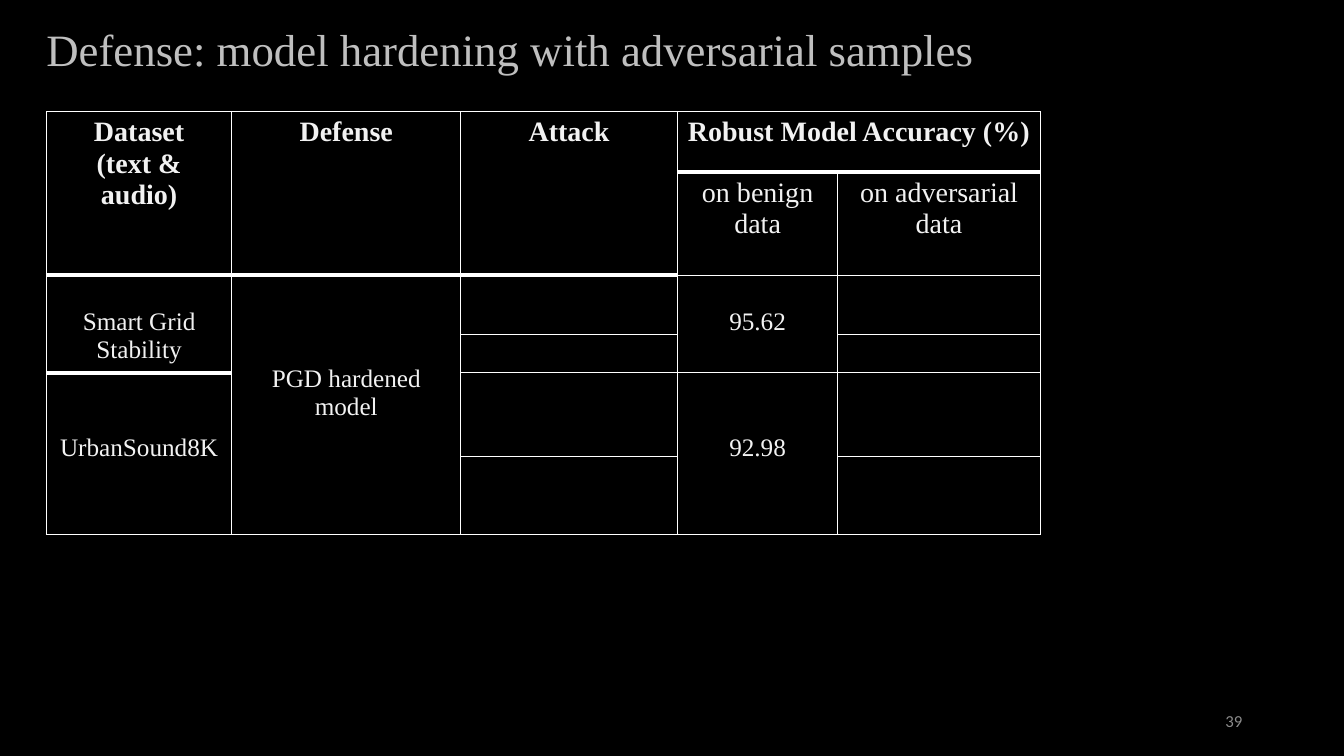
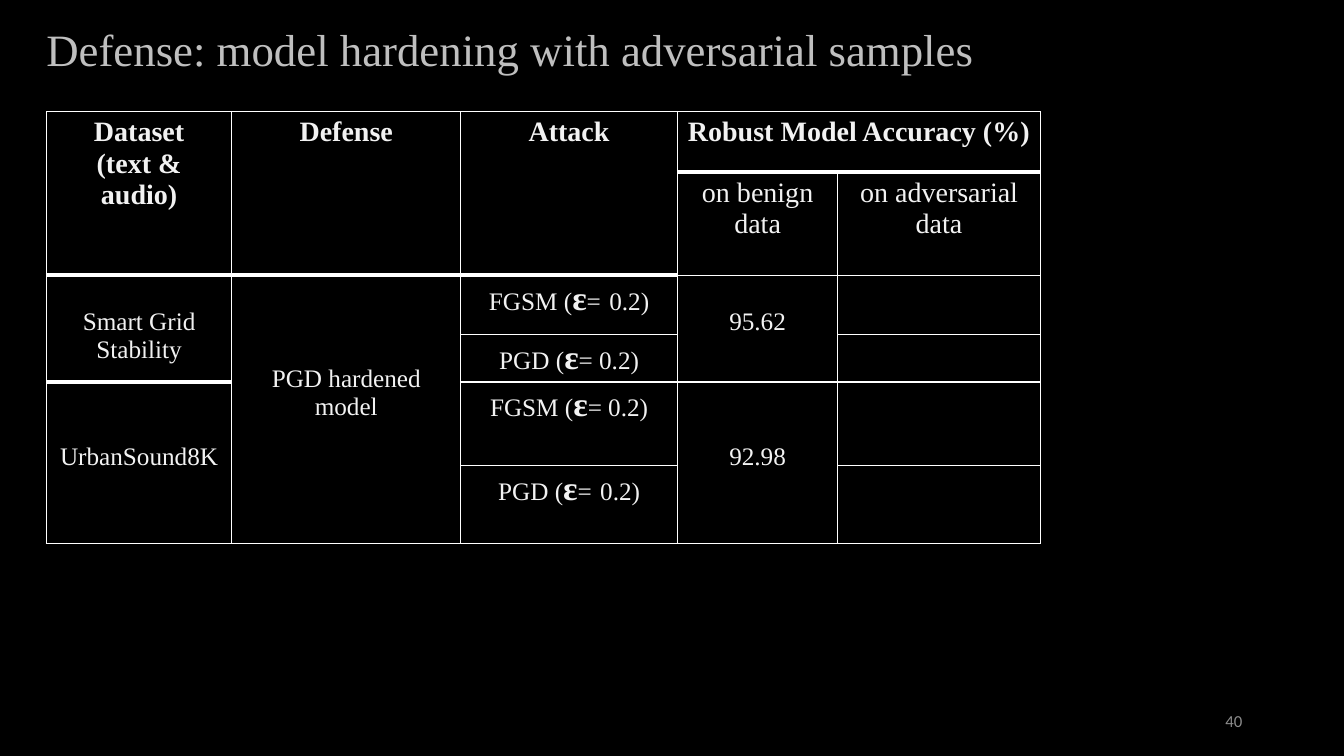
from dataclasses import dataclass

from lxml import etree
from pptx import Presentation
from pptx.dml.color import RGBColor
from pptx.enum import text
from pptx.oxml import ns
from pptx.slide import Slide
from pptx.table import Table, _Cell
from pptx.util import Inches, Pt

BLACK = RGBColor(0x00, 0x00, 0x00)
WHITE = RGBColor(0xFF, 0xFF, 0xFF)
CELL_TEXT = RGBColor(0xF2, 0xF2, 0xF2)
TITLE_GRAY = RGBColor(0xBF, 0xBF, 0xBF)
NUMBER_GRAY = RGBColor(0x8C, 0x8C, 0x8C)
SERIF = "Times New Roman"
SANS = "Calibri"
TITLE = "Defense: model hardening with adversarial samples"

COLUMN_WIDTHS = (1.84, 2.27, 2.15, 1.59, 2.01)
HEAVY_EDGES = {(2, 0), (2, 1), (2, 2), (1, 3), (1, 4)}
CELL_MARGIN = 0.05
BODY_LINE = 0.28


@dataclass(frozen=True)
class Run:
    """A piece of text with one look."""

    words: str
    size: int = 18
    bold: bool = False


@dataclass(frozen=True)
class Entry:
    """Table text placed at a cell, with its span and lines skipped above it."""

    row: int
    column: int
    paragraphs: tuple[tuple[Run, ...], ...]
    rows: int = 1
    columns: int = 1
    skipped_lines: int = 0


@dataclass(frozen=True)
class Page:
    """One slide: its number, row heights and attack entries."""

    number: int
    row_heights: tuple[float, ...]
    attacks: tuple[Entry, ...] = ()


def heading(row: int, column: int, *lines: str, bold: bool = True,
            rows: int = 1, columns: int = 1) -> Entry:
    """Describe a header cell."""
    paragraphs = tuple((Run(line, 20, bold),) for line in lines)
    return Entry(row, column, paragraphs, rows, columns)


def body(row: int, column: int, words: str, rows: int, skipped_lines: int) -> Entry:
    """Describe a merged body cell."""
    return Entry(row, column, ((Run(words),),), rows, 1, skipped_lines)


def attack(row: int, name: str, space_size: int) -> Entry:
    """Describe an attack with its epsilon value."""
    runs = (Run(f"{name} ("), Run("ɛ", 24, True), Run("="),
            Run(" ", space_size), Run("0.2)"))
    return Entry(row, 2, (runs,))


SHARED_ENTRIES = (
    heading(0, 0, "Dataset", "(text & audio)", rows=2),
    heading(0, 1, "Defense", rows=2),
    heading(0, 2, "Attack", rows=2),
    heading(0, 3, "Robust Model Accuracy (%)", columns=2),
    heading(1, 3, "on benign data", bold=False),
    heading(1, 4, "on adversarial data", bold=False),
    body(2, 0, "Smart Grid Stability", 2, 1),
    body(2, 1, "PGD hardened model", 4, 3),
    body(2, 3, "95.62", 2, 1),
    body(4, 0, "UrbanSound8K", 2, 2),
    body(4, 3, "92.98", 2, 2),
)

PAGES = (
    Page(39, (0.6, 1.02, 0.59, 0.38, 0.83, 0.77)),
    Page(40, (0.6, 1.02, 0.59, 0.47, 0.83, 0.77), (
        attack(2, "FGSM", 24),
        attack(3, "PGD", 18),
        attack(4, "FGSM", 18),
        attack(5, "PGD", 24),
    )),
)


def add_run(paragraph, run: Run, color: RGBColor, font: str = SERIF) -> None:
    """Append a formatted run to a paragraph."""
    piece = paragraph.add_run()
    piece.text = run.words
    piece.font.name = font
    piece.font.size = Pt(run.size)
    piece.font.bold = run.bold
    piece.font.color.rgb = color


def add_border(cell: _Cell, side: str, points: int) -> None:
    """Draw one white edge of a cell."""
    properties = cell._tc.get_or_add_tcPr()
    line = etree.SubElement(properties, ns.qn(f"a:ln{side}"), w=str(Pt(points)))
    fill = etree.SubElement(line, ns.qn("a:solidFill"))
    etree.SubElement(fill, ns.qn("a:srgbClr"), val=str(WHITE))


def format_grid(table: Table, entries: tuple[Entry, ...]) -> None:
    """Fill every cell and draw the edges that lie outside merged areas."""
    spans = {(row, column): entry for entry in entries
             for row in range(entry.row, entry.row + entry.rows)
             for column in range(entry.column, entry.column + entry.columns)}
    for row in range(len(table.rows)):
        for column in range(len(table.columns)):
            cell = table.cell(row, column)
            area = spans.get((row, column), Entry(row, column, ()))
            edges = {
                "L": (column == area.column, 1),
                "R": (column == area.column + area.columns - 1, 1),
                "T": (row == area.row, 3 if (row, column) in HEAVY_EDGES else 1),
                "B": (row == area.row + area.rows - 1,
                      3 if (row + 1, column) in HEAVY_EDGES else 1),
            }
            for side, (visible, points) in edges.items():
                if visible:
                    add_border(cell, side, points)
            cell.fill.solid()
            cell.fill.fore_color.rgb = BLACK
            cell.margin_top = Inches(CELL_MARGIN)
            cell.margin_bottom = 0


def write_entry(table: Table, entry: Entry) -> None:
    """Merge the cells of an entry and write its text."""
    cell = table.cell(entry.row, entry.column)
    if entry.rows * entry.columns > 1:
        cell.merge(table.cell(entry.row + entry.rows - 1,
                              entry.column + entry.columns - 1))
    cell.margin_top = Inches(CELL_MARGIN + entry.skipped_lines * BODY_LINE)
    frame = cell.text_frame
    for index, runs in enumerate(entry.paragraphs):
        paragraph = frame.add_paragraph() if index else frame.paragraphs[0]
        paragraph.alignment = text.PP_ALIGN.CENTER
        for run in runs:
            add_run(paragraph, run, CELL_TEXT)


def add_results_table(slide: Slide, page: Page) -> None:
    """Add the accuracy table."""
    heights = page.row_heights
    frame = slide.shapes.add_table(
        len(heights), len(COLUMN_WIDTHS), Inches(0.46), Inches(1.11),
        Inches(sum(COLUMN_WIDTHS)), Inches(sum(heights)))
    table = frame.table
    table.first_row = False
    table.horz_banding = False
    for column, width in zip(table.columns, COLUMN_WIDTHS):
        column.width = Inches(width)
    for row, height in zip(table.rows, heights):
        row.height = Inches(height)
    entries = SHARED_ENTRIES + page.attacks
    format_grid(table, entries)
    for entry in entries:
        write_entry(table, entry)


def set_title(slide: Slide) -> None:
    """Place and format the slide title."""
    title = slide.shapes.title
    title.left, title.top = Inches(0.36), Inches(0.33)
    title.width, title.height = Inches(11), Inches(0.48)
    frame = title.text_frame
    frame.auto_size = text.MSO_AUTO_SIZE.NONE
    frame.vertical_anchor = text.MSO_ANCHOR.BOTTOM
    paragraph = frame.paragraphs[0]
    paragraph.alignment = text.PP_ALIGN.LEFT
    paragraph.line_spacing = 0.9
    add_run(paragraph, Run(TITLE, 32), TITLE_GRAY)


def add_page_number(slide: Slide, number: int) -> None:
    """Add the slide number at the lower right."""
    box = slide.shapes.add_textbox(Inches(9.42), Inches(6.95), Inches(3), Inches(0.4))
    frame = box.text_frame
    frame.word_wrap = True
    frame.vertical_anchor = text.MSO_ANCHOR.MIDDLE
    paragraph = frame.paragraphs[0]
    paragraph.alignment = text.PP_ALIGN.RIGHT
    add_run(paragraph, Run(str(number), 12), NUMBER_GRAY, SANS)


def main() -> None:
    """Build and save the presentation."""
    presentation = Presentation()
    presentation.slide_width = Inches(13.33)
    presentation.slide_height = Inches(7.5)
    background = presentation.slide_master.background.fill
    background.solid()
    background.fore_color.rgb = BLACK
    for page in PAGES:
        slide = presentation.slides.add_slide(presentation.slide_layouts[5])
        set_title(slide)
        add_results_table(slide, page)
        add_page_number(slide, page.number)
    presentation.save("out.pptx")


if __name__ == "__main__":
    main()
